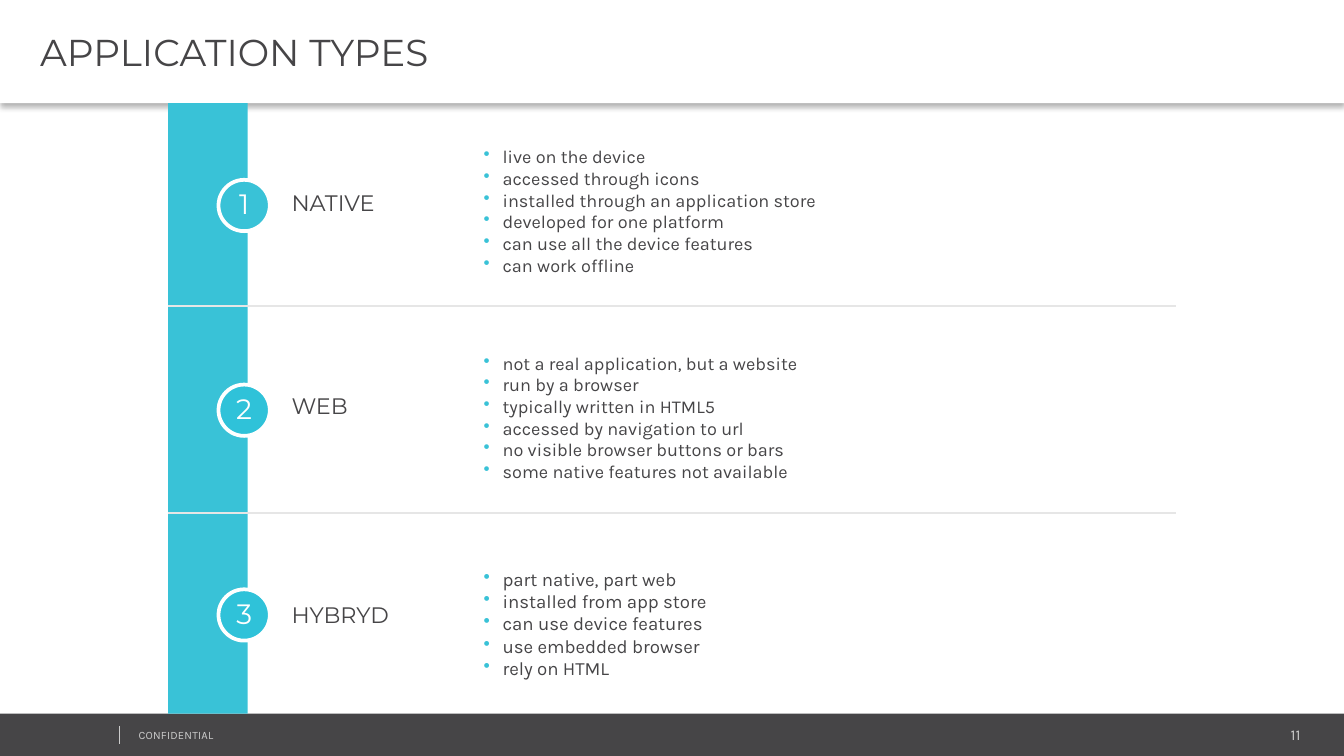
from lxml import etree
from pptx import Presentation
from pptx import util as u
from pptx.dml.color import RGBColor
from pptx.enum import shapes, text
from pptx.oxml import ns

Cm, Pt = u.Cm, u.Pt
ALIGN = text.PP_ALIGN
MID = text.MSO_ANCHOR.MIDDLE


class Theme:
    dark = RGBColor.from_string("464547")
    teal = RGBColor.from_string("39C2D7")
    aqua = RGBColor.from_string("2FC2D9")
    white = RGBColor.from_string("FFFFFF")
    rule = RGBColor.from_string("E6E6E6")
    pale = RGBColor.from_string("CCCCCC")
    title = dict(name="Montserrat", size=Pt(20), color=dark)
    label = dict(name="Montserrat", size=Pt(12), color=dark)
    badge = dict(name="Montserrat", size=Pt(15), color=white)
    list = dict(name="Karla", size=Pt(9.7), color=dark)
    loose = dict(list, size=Pt(10))
    page = dict(name="Karla", size=Pt(8), color=pale)
    foot = dict(name="Karla", size=Pt(6), color=pale)


# Name, label top, badge fill, list style, list items
ROWS = [
    ("NATIVE", 3.45, Theme.teal, Theme.list, [
        "live on the device",
        "accessed through icons",
        "installed through an application store",
        "developed for one platform",
        "can use all the device features",
        "can work offline"]),
    ("WEB", 7.29, Theme.aqua, Theme.list, [
        "not a real application, but a website",
        "run by a browser",
        "typically written in HTML5",
        "accessed by navigation to url",
        "no visible browser buttons or bars",
        "some native features not available"]),
    ("HYBRYD", 11.23, Theme.aqua, Theme.loose, [
        "part native, part web",
        "installed from app store",
        "can use device features",
        "use embedded browser",
        "rely on HTML"]),
]
PITCH = 3.9         # list to list and rule to rule
BADGE_PITCH = 3.87


def add_node(parent, tag, **attrs):
    node = etree.SubElement(parent, ns.qn(tag))
    for key, value in attrs.items():
        node.set(key, str(value))
    return node


def style(font, form):
    for key, value in form.items():
        if key == "color":
            font.color.rgb = value
        else:
            setattr(font, key, value)


def add_bullet(para):
    props = para._p.get_or_add_pPr()
    props.set("marL", str(Cm(0.36)))
    props.set("indent", str(-Cm(0.36)))
    color = add_node(props, "a:buClr")
    add_node(color, "a:srgbClr", val=Theme.teal)
    add_node(props, "a:buChar", char="•")


def write(shape, lines, form, align=ALIGN.LEFT, anchor=text.MSO_ANCHOR.TOP,
          pads=(0.25, 0.13, 0.25, 0.13), bullet=False):
    frame = shape.text_frame
    frame.word_wrap = True
    frame.vertical_anchor = anchor
    for side, pad in zip(("left", "top", "right", "bottom"), pads):
        setattr(frame, "margin_" + side, Cm(pad))
    for i, line in enumerate(lines):
        para = frame.add_paragraph() if i else frame.paragraphs[0]
        para.alignment = align
        if bullet:
            add_bullet(para)
        run = para.add_run()
        run.text = line
        style(run.font, form)


def add_text(slide, box, lines, form, **opts):
    shape = slide.shapes.add_textbox(*map(Cm, box))
    write(shape, lines, form, **opts)
    return shape


def add_block(slide, kind, box, fill, edge=None):
    shape = slide.shapes.add_shape(kind, *map(Cm, box))
    shape.shadow.inherit = False
    shape.fill.solid()
    shape.fill.fore_color.rgb = fill
    if edge:
        shape.line.color.rgb = edge
        shape.line.width = Pt(2)
    else:
        shape.line.fill.background()
    return shape


def add_line(slide, ends, color, width):
    line = slide.shapes.add_connector(
        shapes.MSO_CONNECTOR.STRAIGHT, *map(Cm, ends))
    line.line.color.rgb = color
    line.line.width = Pt(width)
    add_node(line._element.spPr, "a:effectLst")


def add_shadow(shape):
    effects = shape._element.spPr.find(ns.qn("a:effectLst"))
    outer = add_node(effects, "a:outerShdw", blurRad=Pt(3.1), dist=Pt(2),
                     dir=90 * 60000, algn="t", rotWithShape=0)
    color = add_node(outer, "a:srgbClr", val="000000")
    add_node(color, "a:alpha", val=30000)


def add_footer(slide):
    rect = shapes.MSO_SHAPE.RECTANGLE
    pads = (0.18, 0.1, 0.18, 0.1)
    add_block(slide, rect, (0, 13.49, 25.4, 0.84), Theme.dark)
    add_text(slide, (20.62, 13.61, 4.14, 0.53), ["11"], Theme.page,
             align=ALIGN.RIGHT, pads=pads)
    note = add_text(slide, (2.44, 13.67, 6.43, 0.46), ["CONFIDENTIAL"],
                    Theme.foot, pads=pads)
    run = note.text_frame.paragraphs[0].runs[0]
    run.font._element.set("spc", "10")
    add_line(slide, (2.26, 13.72, 2.26, 14.06), Theme.pale, 0.25)


def add_title(slide):
    band = add_block(slide, shapes.MSO_SHAPE.RECTANGLE,
                     (0, 0, 25.4, 1.95), Theme.white)
    add_shadow(band)
    write(band, ["APPLICATION TYPES"], Theme.title, anchor=MID,
          pads=(0.76, 0.1, 0.18, 0.1))


def add_row(slide, i, row):
    name, top, fill, form, items = row
    add_text(slide, (8.89, 2.51 + i * PITCH, 12.29, 2.95), items, form,
             anchor=MID, bullet=True)
    add_text(slide, (5.26, top, 3.6, 0.76), [name], Theme.label)
    badge = add_block(slide, shapes.MSO_SHAPE.OVAL,
                      (4.13, 3.4 + i * BADGE_PITCH, 0.97, 0.97),
                      fill, Theme.white)
    write(badge, [str(i + 1)], Theme.badge, align=ALIGN.CENTER, anchor=MID,
          pads=(0, 0.05, 0, 0.13))
    # Rule between rows
    if i < len(ROWS) - 1:
        y = 5.79 + i * PITCH
        add_line(slide, (22.22, y, 3.18, y), Theme.rule, 1)


def main():
    deck = Presentation()
    deck.slide_width, deck.slide_height = Cm(25.4), Cm(14.29)
    slide = deck.slides.add_slide(deck.slide_layouts[6])
    add_footer(slide)
    add_title(slide)
    # Side bar behind the rows
    add_block(slide, shapes.MSO_SHAPE.RECTANGLE,
              (3.18, 1.95, 1.5, 11.54), Theme.teal)
    for i, row in enumerate(ROWS):
        add_row(slide, i, row)
    deck.save("out.pptx")


if __name__ == "__main__":
    main()
